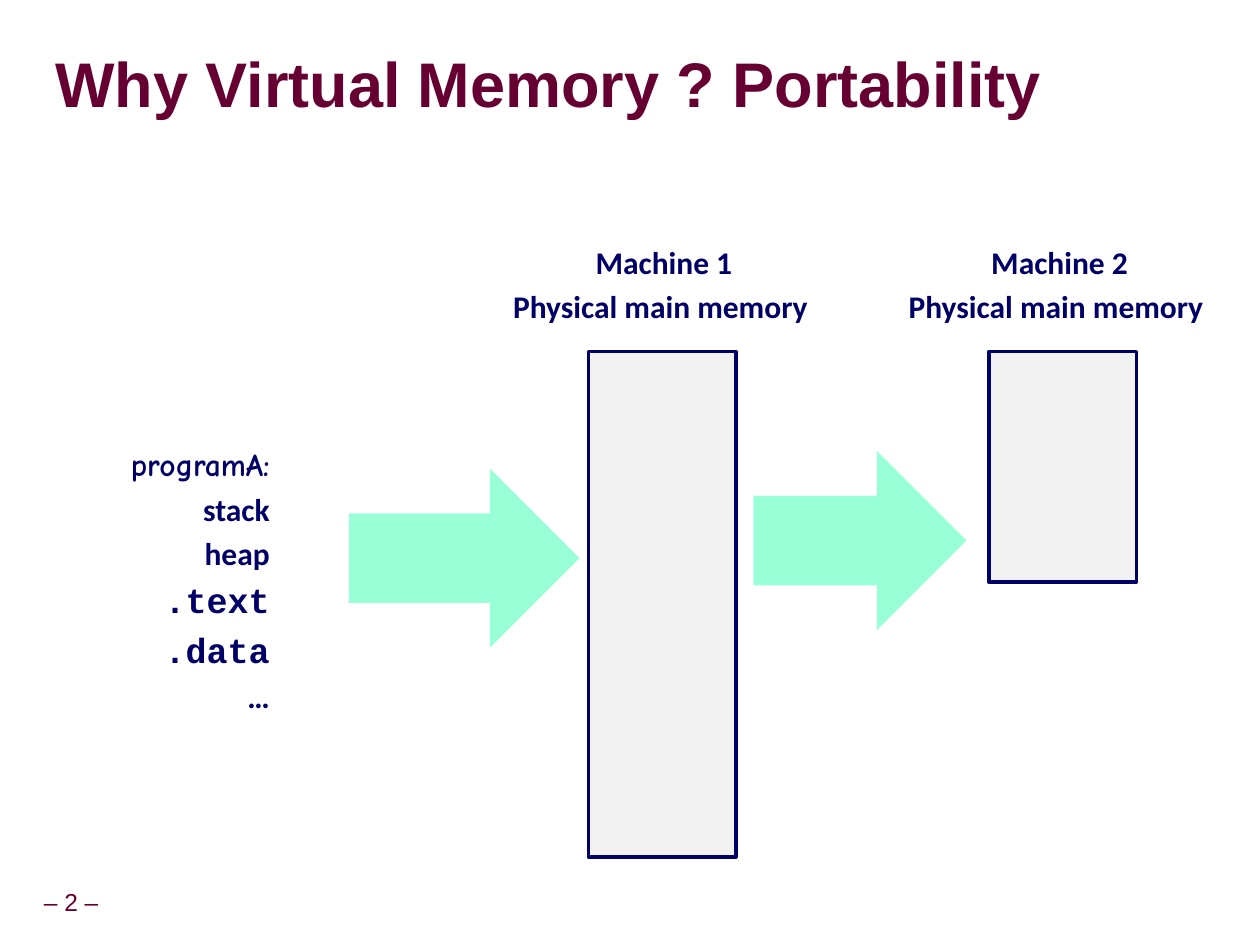
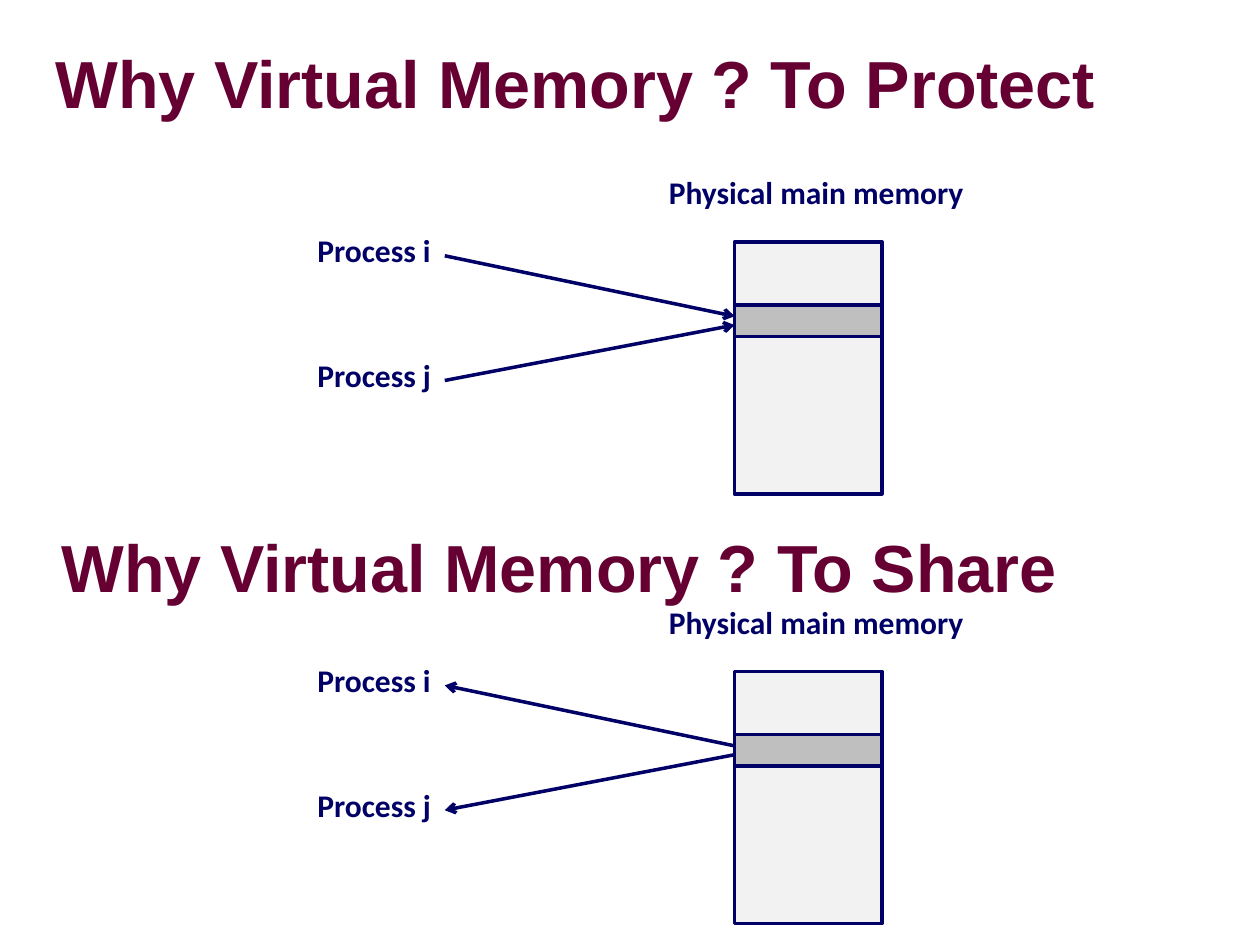
from lxml import etree
from pptx import Presentation
from pptx.dml.color import RGBColor
from pptx.enum.shapes import MSO_CONNECTOR, MSO_SHAPE
from pptx.enum.text import MSO_ANCHOR, MSO_AUTO_SIZE, PP_ALIGN
from pptx.oxml import parse_xml
from pptx.oxml.ns import nsdecls, qn
from pptx.util import Inches, Pt

MAROON = RGBColor(0x66, 0x00, 0x33)
NAVY = RGBColor(0x00, 0x00, 0x66)
MINT = RGBColor(0x99, 0xFF, 0xD6)
PALE = RGBColor(0xF2, 0xF2, 0xF2)
GREY = RGBColor(0xBF, 0xBF, 0xBF)

TITLE_SHADOW = (
    f'<a:effectLst {nsdecls("a")}>'
    '<a:outerShdw blurRad="38100" dist="38100" dir="2700000" algn="tl">'
    '<a:srgbClr val="C0C0C0"/></a:outerShdw></a:effectLst>'
)


def add_label(s, x, y, w, h, lines, align=PP_ALIGN.LEFT):
    box = s.shapes.add_textbox(Inches(x), Inches(y), Inches(w), Inches(h))
    tf = box.text_frame
    tf.word_wrap = False
    tf.auto_size = MSO_AUTO_SIZE.SHAPE_TO_FIT_TEXT
    tf.text = "\n".join(text for text, font, size in lines)
    for i, (p, (text, font, size)) in enumerate(zip(tf.paragraphs, lines)):
        p.alignment = align
        p.line_spacing = 0.65
        if i:
            p.space_before = Pt(size * 0.625)
        r = p.runs[0]
        r.font.name = font
        r.font.size = Pt(size)
        r.font.bold = True
        r.font.color.rgb = NAVY
    return box


def add_block(s, kind, x, y, w, h, fill, outlined=True):
    block = s.shapes.add_shape(kind, Inches(x), Inches(y), Inches(w), Inches(h))
    block.shadow.inherit = False
    block.fill.solid()
    block.fill.fore_color.rgb = fill
    if outlined:
        block.line.color.rgb = NAVY
        block.line.width = Pt(2)
    else:
        block.line.fill.background()


prs = Presentation()
prs.slide_width = Inches(10)
prs.slide_height = Inches(7.5)

slides = []
for title, size in (("Why Virtual Memory ? Portability", 36), ("Why Virtual Memory ? To Protect", 38)):
    s = prs.slides.add_slide(prs.slide_layouts[5])
    slides.append(s)
    sp = s.shapes.title
    sp.left, sp.top, sp.width, sp.height = Inches(0.44), Inches(0.27), Inches(9.53), Inches(0.85)
    tf = sp.text_frame
    tf.text = title
    tf.auto_size = MSO_AUTO_SIZE.NONE
    tf.vertical_anchor = MSO_ANCHOR.MIDDLE
    tf.margin_left = tf.margin_right = tf.margin_top = tf.margin_bottom = 0
    p = tf.paragraphs[0]
    p.alignment = PP_ALIGN.LEFT
    p.line_spacing = 0.87
    r = p.runs[0]
    r.font.size = Pt(size)
    r.font.bold = True
    r.font.color.rgb = MAROON
    r.font.name = "Arial"
    r.font.fill._xPr.find(qn("a:solidFill")).addnext(parse_xml(TITLE_SHADOW))

portability, protection = slides

page = portability.shapes.add_textbox(Inches(-0.09), Inches(7), Inches(1.31), Inches(0.31))
share = protection.shapes.add_textbox(Inches(0.39), Inches(4.08), Inches(8.3), Inches(0.83))
for box, text, size, bold, align in (
    (page, "– 2 –", 14, False, PP_ALIGN.CENTER),
    (share, "Why Virtual Memory ? To Share", 38, True, PP_ALIGN.LEFT),
):
    tf = box.text_frame
    tf.text = text
    tf.word_wrap = True
    tf.vertical_anchor = MSO_ANCHOR.MIDDLE
    p = tf.paragraphs[0]
    p.alignment = align
    r = p.runs[0]
    r.font.name = "Arial"
    r.font.size = Pt(size)
    r.font.bold = bold
    r.font.color.rgb = MAROON

for machine, label_x, memory_x, memory_h in (("Machine 1", 3.97, 4.67, 4.01), ("Machine 2", 7.11, 7.85, 1.83)):
    lines = [(machine, "Calibri", 18), ("Physical main memory ", "Calibri", 18)]
    add_label(portability, label_x, 1.97, 2.6, 0.65, lines, PP_ALIGN.CENTER)
    add_block(portability, MSO_SHAPE.RECTANGLE, memory_x, 2.79, 1.17, memory_h, PALE)

program = [
    ("programA:", "Comic Neue", 18),
    ("stack", "Calibri", 18),
    ("heap", "Calibri", 18),
    (".text", "Courier New", 20),
    (".data", "Courier New", 20),
    ("…", "Calibri", 18),
]
add_label(portability, 0.93, 3.58, 1.31, 2.13, program, PP_ALIGN.RIGHT)
for x, y, w in ((2.77, 3.72, 1.83), (5.98, 3.58, 1.69)):
    add_block(portability, MSO_SHAPE.RIGHT_ARROW, x, y, w, 1.42, MINT, outlined=False)

for top, arrow_end in ((1.92, "a:tailEnd"), (5.33, "a:headEnd")):
    add_label(protection, 5.21, top - 0.5, 2.55, 0.3, [("Physical main memory", "Calibri", 18)])
    add_block(protection, MSO_SHAPE.RECTANGLE, 5.83, top, 1.17, 2, PALE)
    add_block(protection, MSO_SHAPE.RECTANGLE, 5.83, top + 0.5, 1.17, 0.25, GREY)
    for name, label_dy, page_dy in (("Process i", -0.04, 0.59), ("Process j", 0.95, 0.66)):
        label = add_label(protection, 2.42, top + label_dy, 1.11, 0.3, [(name, "Calibri", 18)])
        line = protection.shapes.add_connector(
            MSO_CONNECTOR.STRAIGHT, Inches(3.53), Inches(top + label_dy + 0.15), Inches(5.83), Inches(top + page_dy)
        )
        line.begin_connect(label, 3)
        line.line.color.rgb = NAVY
        line.line.width = Pt(2)
        etree.SubElement(line.line._get_or_add_ln(), qn(arrow_end), type="arrow")
        etree.SubElement(line._element.spPr, qn("a:effectLst"))

prs.save("out.pptx")
